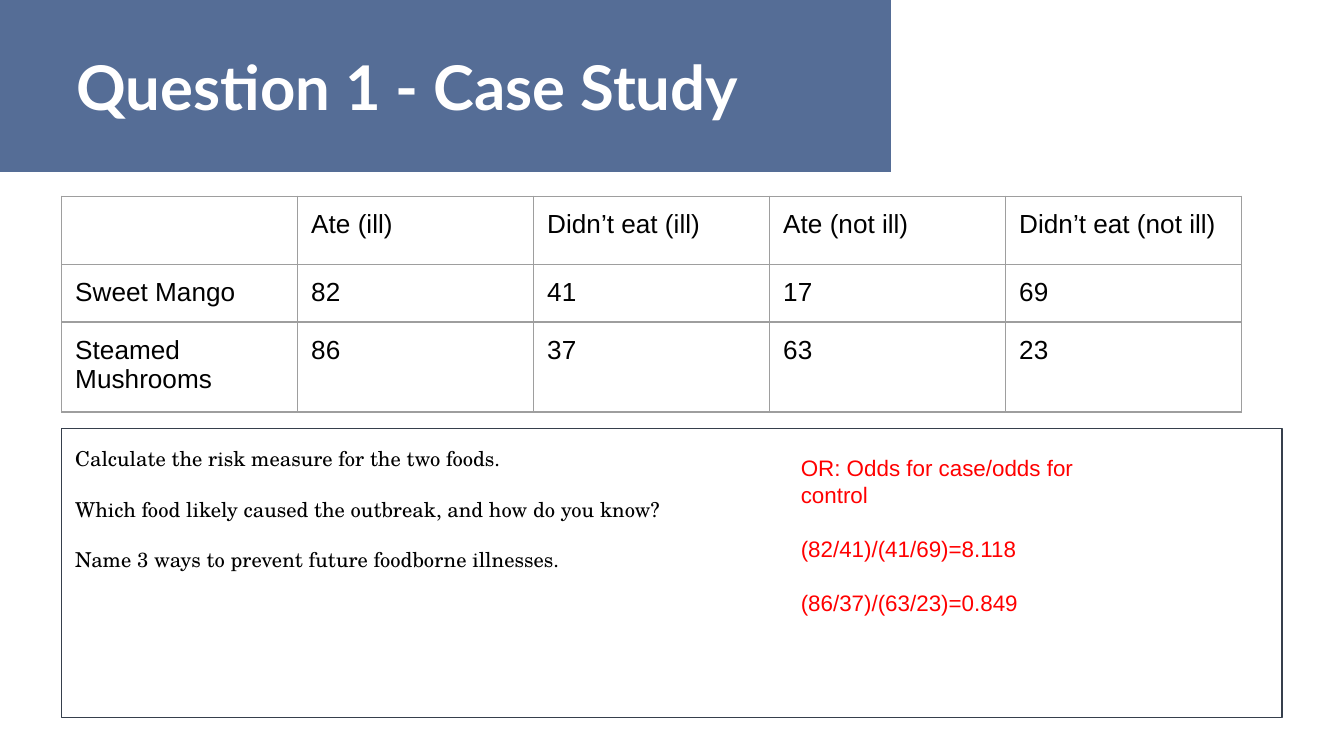
from lxml import etree
from pptx import Presentation
from pptx.dml.color import RGBColor
from pptx.enum.shapes import MSO_SHAPE
from pptx.enum.text import MSO_ANCHOR, MSO_AUTO_SIZE, PP_ALIGN
from pptx.oxml.ns import qn
from pptx.util import Inches, Pt

RECTANGLE = MSO_SHAPE.RECTANGLE
TOP, MIDDLE = MSO_ANCHOR.TOP, MSO_ANCHOR.MIDDLE
NO_AUTOFIT = MSO_AUTO_SIZE.NONE
LEFT = PP_ALIGN.LEFT

WHITE = RGBColor(0xFF, 0xFF, 0xFF)
BLACK = RGBColor(0x00, 0x00, 0x00)
RED = RGBColor(0xFF, 0x00, 0x00)
BLUE = RGBColor(0x55, 0x6D, 0x96)
SLATE = RGBColor(0x36, 0x3F, 0x4C)
GREY = RGBColor(0x9E, 0x9E, 0x9E)

MARGIN = Inches(0.46)
INSET = Inches(0.1)


def write(frame, lines, size, font, color, bold=False, gap=0, spacing=1.0):
    """Fill a text frame with left-aligned, unbulleted paragraphs."""
    frame.word_wrap = True
    for side in ("left", "top", "right", "bottom"):
        setattr(frame, f"margin_{side}", INSET)
    for i, line in enumerate(lines):
        paragraph = frame.paragraphs[0] if i == 0 else frame.add_paragraph()
        properties = paragraph._p.get_or_add_pPr()
        properties.set("marL", "0")
        properties.set("indent", "0")
        etree.SubElement(properties, qn("a:buNone"))
        layout = {"alignment": LEFT, "line_spacing": spacing,
                  "space_before": Pt(gap if i else 0)}
        for name, value in layout.items():
            setattr(paragraph, name, value)
        run = paragraph.add_run()
        run.text = line
        for name, value in {"size": Pt(size), "name": font, "bold": bold}.items():
            setattr(run.font, name, value)
        run.font.color.rgb = color


def place(shape, left, top, width, height):
    shape.left, shape.top, shape.width, shape.height = left, top, width, height


# Widescreen slide, 16:9
prs = Presentation()
prs.slide_width = Inches(10)
prs.slide_height = prs.slide_width * 9 // 16
slide = prs.slides.add_slide(prs.slide_layouts[1])
title, questions = slide.placeholders

# Banner, behind the title
banner = slide.shapes.add_shape(RECTANGLE, 0, 0, Inches(6.63), Inches(1.28))
banner.shadow.inherit = False
banner.fill.solid()
banner.fill.fore_color.rgb = BLUE
banner.line.fill.background()
slide.shapes._spTree.insert(2, banner._element)

# Title
place(title, Inches(0.47), Inches(0.26), Inches(6.28), Inches(0.76))
title.text_frame.auto_size = NO_AUTOFIT
title.text_frame.vertical_anchor = MIDDLE
write(title.text_frame, ["Question 1 - Case Study"], 33, "Lato", WHITE, bold=True)

# Questions in an outlined box
place(questions, MARGIN, Inches(3.19), Inches(9.08), Inches(2.15))
questions.line.color.rgb = SLATE
questions.line.width = Pt(0.75)
questions.text_frame.auto_size = NO_AUTOFIT
questions.text_frame.vertical_anchor = TOP
write(questions.text_frame, [
    "Calculate the risk measure for the two foods.",
    "Which food likely caused the outbreak, and how do you know?",
    "Name 3 ways to prevent future foodborne illnesses.",
], 11, "TeX Gyre Schola", BLACK, gap=12, spacing=1.15)

# Case-control counts
counts = [
    ["", "Ate (ill)", "Didn’t eat (ill)", "Ate (not ill)", "Didn’t eat (not ill)"],
    ["Sweet Mango", "82", "41", "17", "69"],
    ["Steamed Mushrooms", "86", "37", "63", "23"],
]
row_heights = [0.5, 0.43, 0.67]
table_width = Inches(8.78)
table = slide.shapes.add_table(
    len(counts), len(counts[0]), MARGIN, Inches(1.46),
    table_width, Inches(sum(row_heights))).table
table.first_row = table.horz_banding = False
for column in table.columns:
    column.width = table_width // len(counts[0])
for row, height, values in zip(table.rows, row_heights, counts):
    row.height = Inches(height)
    for cell, value in zip(row.cells, values):
        if value:
            write(cell.text_frame, [value], 14, "Arial", BLACK)
        for side in ("left", "top", "right", "bottom"):
            setattr(cell, f"margin_{side}", INSET)
        properties = cell._tc.get_or_add_tcPr()
        for edge in ("a:lnL", "a:lnR", "a:lnT", "a:lnB"):
            border = etree.SubElement(properties, qn(edge), w=str(Pt(0.75)))
            fill = etree.SubElement(border, qn("a:solidFill"))
            etree.SubElement(fill, qn("a:srgbClr"), val=str(GREY))
        cell.fill.background()

# Worked answers
answers = slide.shapes.add_textbox(
    Inches(5.86), Inches(3.28), Inches(2.59), Inches(1.41))
write(answers.text_frame, [
    "OR: Odds for case/odds for control",
    "(82/41)/(41/69)=8.118",
    "(86/37)/(63/23)=0.849",
], 12, "Arial", RED, gap=14.5)

prs.save("out.pptx")
